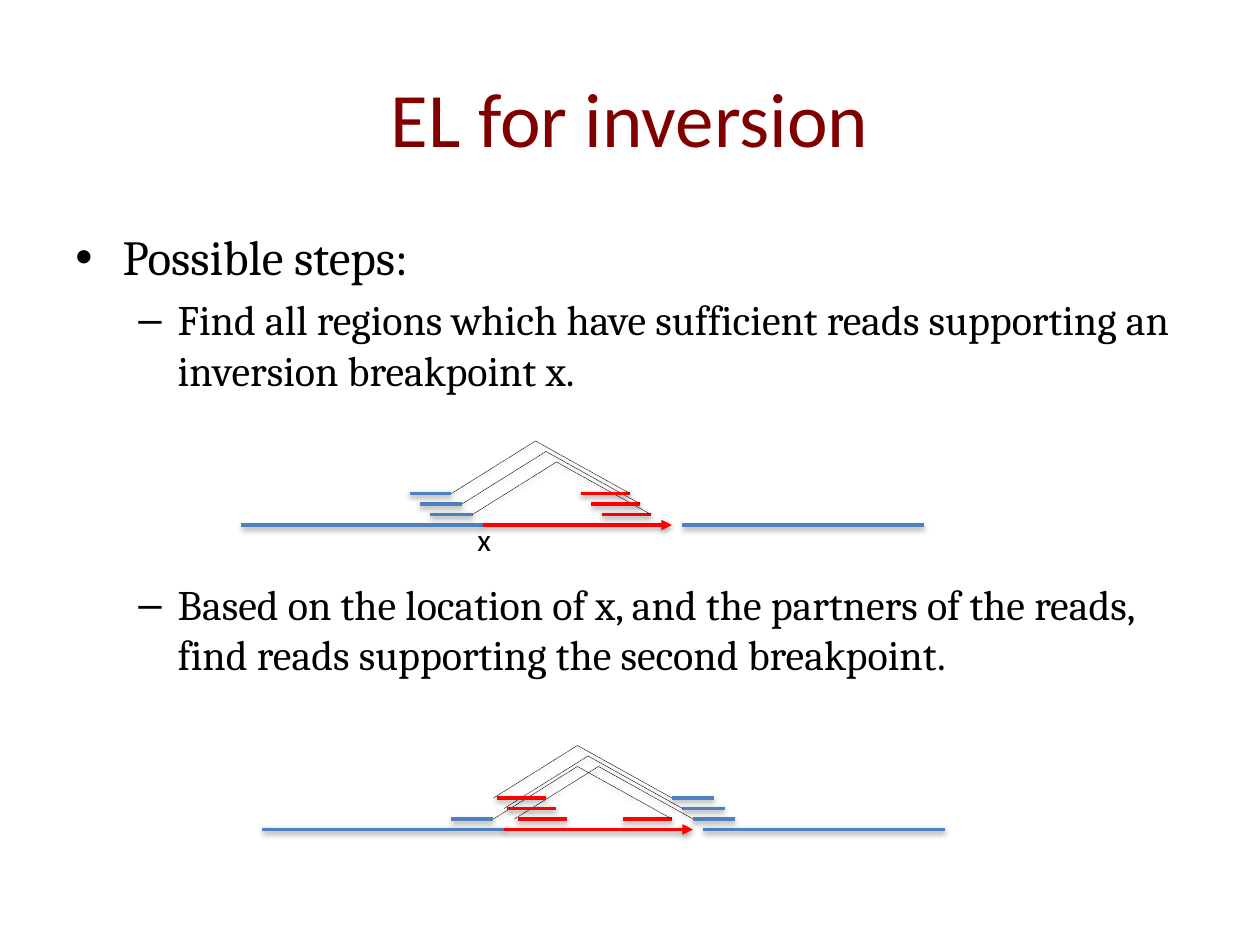
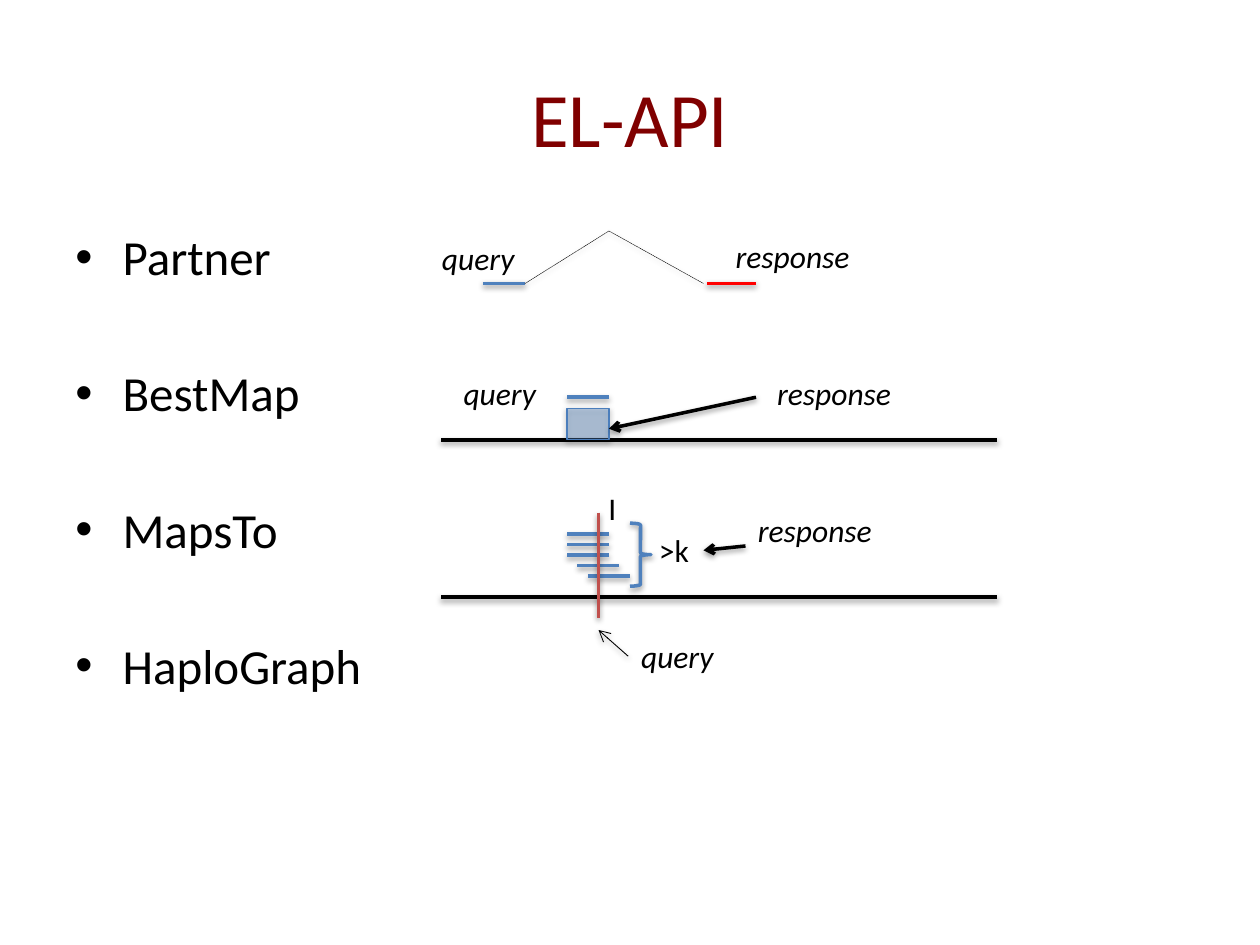
import pptx
import pptx.util
import pptx.dml.color
import pptx.enum.dml
import pptx.enum.shapes
import pptx.enum.text
import pptx.oxml.ns
from lxml import etree

Pt = pptx.util.Pt
RGB = pptx.dml.color.RGBColor.from_string
qn = pptx.oxml.ns.qn
SHAPE = pptx.enum.shapes.MSO_SHAPE

COLORS = {
    "title": "800000",
    "black": "000000",
    "blue": "4F81BD",
    "box_edge": "4B7EBC",
    "red": "FF0000",
    "locus": "C0504D",
}
BULLETS = [("•", 27, -27, 28), ("–", 58.5, -22.5, 24)]


def add_line(slide, x1, y1, x2, y2, color, width=2, head=None):
    sp = slide.shapes.add_connector(
        pptx.enum.shapes.MSO_CONNECTOR.STRAIGHT, Pt(x1), Pt(y1), Pt(x2), Pt(y2))
    sp.line.color.rgb = RGB(COLORS[color])
    sp.line.width = Pt(width)
    if head:
        etree.SubElement(sp.line._get_or_add_ln(), qn("a:tailEnd"), type=head)
    return sp


def add_text(slide, x, y, w, h, lines, size=18, color="black", font="Calibri", italic=False):
    tf = slide.shapes.add_textbox(Pt(x), Pt(y), Pt(w), Pt(h)).text_frame
    tf.word_wrap = size > 18
    tf.text = lines
    for p in tf.paragraphs:
        p.font.size = Pt(size)
        for r in p.runs:
            r.font.size = Pt(size)
            r.font.name = font
            r.font.italic = italic
            r.font.color.rgb = RGB(COLORS[color])
    return tf


prs = pptx.Presentation()
prs.slide_width = Pt(720)
prs.slide_height = Pt(540)

pages = [
    ("EL for inversion", "Cambria", [
        (0, 5.6, "Possible steps:"),
        (1, 4.8, "Find all regions which have sufficient reads supporting an inversion breakpoint x."),
        (1, 105, "Based on the location of x, and the partners of the reads, "
                 "find reads supporting the second breakpoint."),
    ]),
    ("EL-API", "Calibri", [
        (0, 5.6, "Partner"),
        (0, 44.2, "BestMap"),
        (0, 44.2, "MapsTo"),
        (0, 44.2, "HaploGraph"),
    ]),
]
for title, font, items in pages:
    slide = prs.slides.add_slide(prs.slide_layouts[6])
    tf = add_text(slide, 36, 21.6, 648, 90, title, 44, "title")
    tf.vertical_anchor = pptx.enum.text.MSO_ANCHOR.MIDDLE
    tf.paragraphs[0].alignment = pptx.enum.text.PP_ALIGN.CENTER
    tf = add_text(slide, 36, 126, 648, 356.4, "\n".join(i[2] for i in items), 28, font=font)
    for p, (level, gap, _) in zip(tf.paragraphs, items):
        bullet, margin, indent, size = BULLETS[level]
        p.level = level
        p.space_before = Pt(gap)
        p.font.size = p.runs[0].font.size = Pt(size)
        pPr = p._p.get_or_add_pPr()
        pPr.set("marL", str(Pt(margin)))
        pPr.set("indent", str(Pt(indent)))
        bu_font = etree.Element(qn("a:buFont"), typeface="Arial")
        bu_char = etree.Element(qn("a:buChar"), char=bullet)
        at = len(pPr.findall(qn("a:spcBef")))
        pPr.insert(at, bu_font)
        pPr.insert(at + 1, bu_char)

inversion, api = prs.slides

for x, y in [(138, 300), (150, 474)]:
    add_line(inversion, x, y, x + 138, y, "blue")
    add_line(inversion, x + 252, y, x + 390, y, "blue")
    add_line(inversion, x + 138, y, x + 246, y, "red", head="triangle")

pairs = [(inversion, 270 - 6 * i, 294 - 6 * i, -24, 74) for i in range(3)]
pairs += [(inversion, 282, 468, -24, 74)]
pairs += [(inversion, 294 - 6 * i, 468 - 6 * i, 102, 2) for i in range(3)]
pairs += [(api, 300, 162, -24, 104)]
for slide, x, y, blue_dx, red_dx in pairs:
    add_line(slide, x + blue_dx, y, x + blue_dx + 24, y, "blue")
    add_line(slide, x + red_dx, y, x + red_dx + 28, y, "red")
    for x1, y1, x2, y2 in [(x, y, x + 48, y - 30), (x + 48, y - 30, x + 102, y)]:
        sp = add_line(slide, x1, y1, x2, y2, "black", 0.25)
        sp.line.dash_style = pptx.enum.dml.MSO_LINE.SQUARE_DOT

for y in (251.3, 341.3):
    add_line(api, 252, y, 570, y, "black")

add_line(api, 324, 227, 348, 227, "blue")
box = api.shapes.add_shape(SHAPE.RECTANGLE, Pt(324), Pt(233.3), Pt(24), Pt(18))
box.fill.solid()
box.fill.fore_color.rgb = RGB(COLORS["blue"])
rgb = box._element.spPr.find(qn("a:solidFill"))[0]
etree.SubElement(rgb, qn("a:alpha"), val="37000")
box.line.color.rgb = RGB(COLORS["box_edge"])
box.line.width = Pt(0.75)

for i, dx in enumerate([0, 0, 0, 6, 12]):
    y = 305.2 + 6 * i
    add_line(api, 324 + dx, y, 348 + dx, y, "blue")
add_line(api, 342, 293, 342, 353, "locus")
brace = api.shapes.add_shape(SHAPE.RIGHT_BRACE, Pt(360), Pt(299), Pt(12), Pt(36))
brace.fill.background()
brace.line.color.rgb = RGB(COLORS["blue"])
brace.line.width = Pt(2)

add_line(api, 432, 227, 348, 245, "black", head="arrow")
add_line(api, 426, 312, 402, 314.5, "black", head="arrow")
add_line(api, 359, 375, 342, 360, "black", 0.5, "arrow")

for slide, x, y, w, text in [
    (inversion, 265.7, 293.8, 22, "x"),
    (api, 245.5, 133.2, 60.5, "query"),
    (api, 413.3, 131.8, 85, "response"),
    (api, 257.8, 210.2, 60.5, "query"),
    (api, 437, 210.2, 85, "response"),
    (api, 340.6, 275.8, 19.4, "I"),
    (api, 369.4, 300.2, 32.4, ">k"),
    (api, 426, 288.7, 85, "response"),
    (api, 359.3, 360.7, 60.5, "query"),
]:
    add_text(slide, x, y, w, 28.8, text, italic=text in ("query", "response"))

for slide in prs.slides:
    for sp in slide.shapes:
        if sp.shape_type == pptx.enum.shapes.MSO_SHAPE_TYPE.TEXT_BOX:
            continue
        effects = etree.SubElement(sp._element.spPr, qn("a:effectLst"))
        shadow = etree.SubElement(
            effects, qn("a:outerShdw"), blurRad=str(Pt(3.15)), dist=str(Pt(1.6)),
            dir="5400000", rotWithShape="0")
        rgb = etree.SubElement(shadow, qn("a:srgbClr"), val=COLORS["black"])
        etree.SubElement(rgb, qn("a:alpha"), val="38000")

prs.save("out.pptx")
